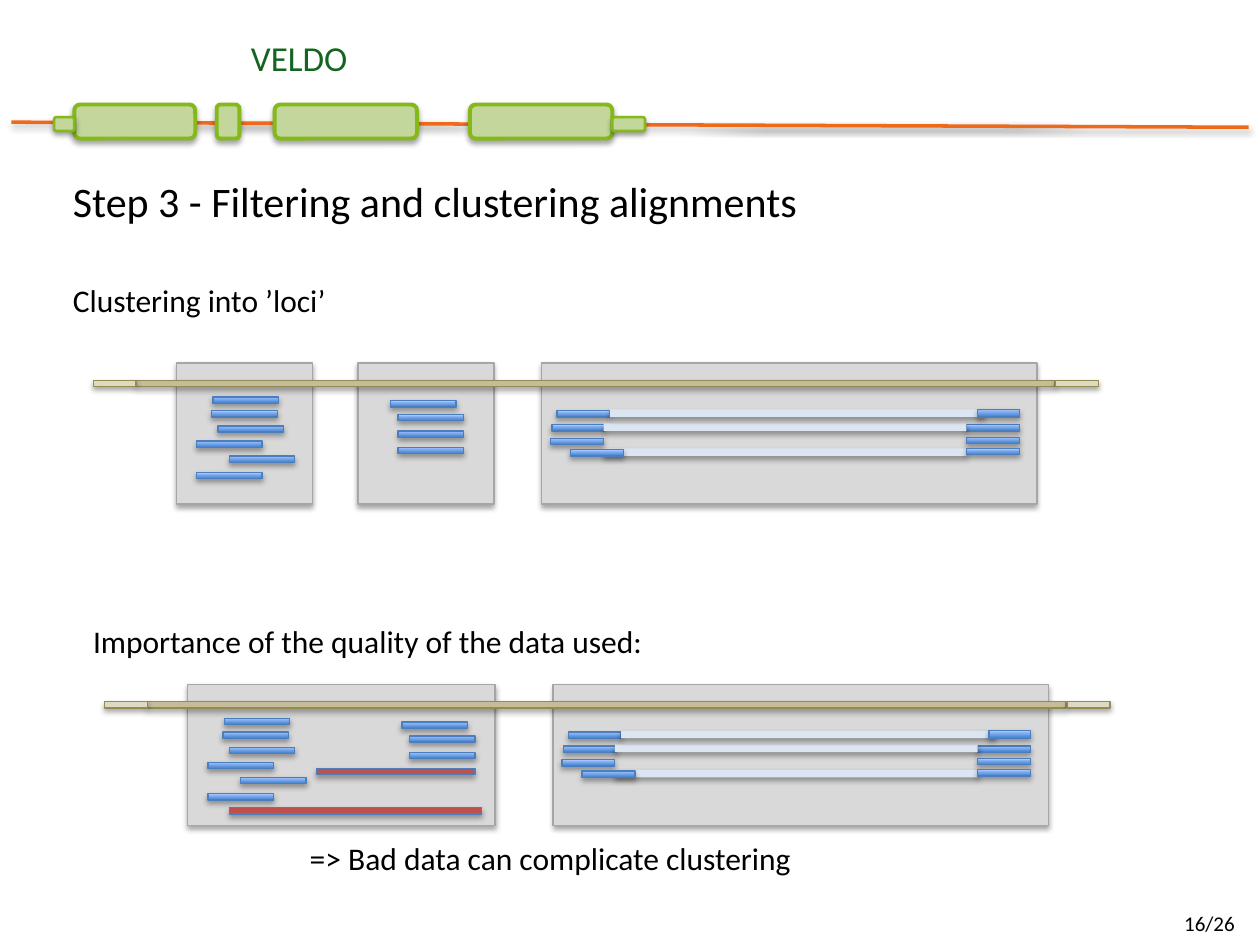
from typing import NamedTuple, Optional

from lxml.etree import SubElement
from pptx import Presentation
from pptx.dml.color import RGBColor
from pptx.enum.shapes import MSO_CONNECTOR as Line, MSO_SHAPE as Preset
from pptx.enum.text import MSO_ANCHOR as Anchor, PP_ALIGN as Align
from pptx.oxml.ns import qn
from pptx.util import Inches, Pt

COLORS = {
    "intergenic": "F0681A", "exon": "C3D69B", "exon_edge": "84B919",
    "locus": "D9D9D9", "locus_edge": "A6A6A6", "intron": "DCE6F2",
    "match_low": "3F80CE", "match_high": "A4C4FF", "match_edge": "4B7EBC",
    "genome": "C4BD97", "genome_end": "DDD9C3", "genome_edge": "948A54",
    "bad": "C0504D", "heading": "136520", "text": "000000",
}


class Style(NamedTuple):
    fill: str
    edge: Optional[str] = None
    edge_width: float = 0.75
    preset: Preset = Preset.RECTANGLE
    fill_end: Optional[str] = None


class Bar(NamedTuple):
    left: float
    top: float
    width: float
    height: float
    style: Style


class Label(NamedTuple):
    text: str
    left: float
    top: float
    width: float
    height: float
    size: int
    wrap: bool = False


EXON = Style("exon", "exon_edge", 2.25, Preset.ROUNDED_RECTANGLE)
UTR = EXON._replace(edge_width=1.5)
LOCUS = Style("locus", "locus_edge")
INTRON = Style("intron")
MATCH = Style("match_low", "match_edge", fill_end="match_high")
BAD = Style("bad", "match_edge")
GENOME = Style("genome", "genome_edge")
GENOME_END = Style("genome_end", "genome_edge")

GENE = [Bar(left, 0.83, width, 0.27, EXON)
        for left, width in ((0.59, 0.96), (1.72, 0.18), (2.18, 1.13), (3.73, 1.13))]
GENE += [Bar(left, 0.93, width, 0.11, UTR) for left, width in ((4.86, 0.26), (0.43, 0.16))]

FIRST_LOCUS = [(1.69, 3.15), (1.68, 3.26), (1.73, 3.38), (1.56, 3.5), (1.82, 3.62), (1.56, 3.75)]
SECOND_LOCUS = [(3.1, 3.18), (3.16, 3.29), (3.16, 3.42)]
SPLICED = [(4.42, 3.26), (4.38, 3.37), (4.37, 3.48),
           (7.67, 3.37), (7.67, 3.47), (7.67, 3.56), (4.53, 3.57)]
EXTRA_MATCH = (3.16, 3.55)
SEPARATE_LOCI = [(4.3, 3.93), (2.84, 1.08), (1.4, 1.08)]
MERGED_LOCI = [(4.3, 3.93), (1.4, 2.44)]
BAD_MATCHES = [Bar(2.51, 6.1, 1.26, 0.05, BAD), Bar(1.82, 6.41, 2, 0.05, BAD)]

LABELS = [
    Label("16/26", 9.3, 7.18, 0.7, 0.32, 12, True),
    Label("Clustering into ’loci’", 0.48, 2.18, 2.24, 0.4, 18),
    Label("Step 3 - Filtering and clustering alignments", 0.48, 1.34, 6.02, 0.5, 24),
    Label("=> Bad data can complicate clustering", 2.36, 6.61, 4.08, 0.4, 18),
    Label("Importance of the quality of the data used:", 0.64, 4.89, 4.61, 0.4, 18),
]


def rgb(name: str) -> RGBColor:
    """Look up a named colour."""
    return RGBColor.from_string(COLORS[name])


def cast_shadow(effects, distance: float, opacity: int) -> None:
    """Add a soft downward shadow to an effect list."""
    shadow = SubElement(effects, qn("a:outerShdw"), blurRad=str(Pt(3.1)),
                        dist=str(Pt(distance)), dir="5400000", rotWithShape="0")
    color = SubElement(shadow, qn("a:srgbClr"), val="000000")
    SubElement(color, qn("a:alpha"), val=str(opacity * 1000))


def draw_bar(slide, bar: Bar, dx: float = 0, dy: float = 0) -> None:
    """Draw one bar, moved by the given offset."""
    style = bar.style
    shape = slide.shapes.add_shape(style.preset, Inches(bar.left + dx), Inches(bar.top + dy),
                                   Inches(bar.width), Inches(bar.height))
    if style.fill_end:
        shape.fill.gradient()
        shape.fill.gradient_angle = 90
        for stop, name in zip(shape.fill.gradient_stops, (style.fill, style.fill_end)):
            stop.color.rgb = rgb(name)
    else:
        shape.fill.solid()
        shape.fill.fore_color.rgb = rgb(style.fill)
    if style.edge:
        shape.line.color.rgb = rgb(style.edge)
        shape.line.width = Pt(style.edge_width)
    else:
        shape.line.fill.background()
    shape.shadow.inherit = False
    cast_shadow(shape._element.spPr.find(qn("a:effectLst")), 1.8, 35)


def draw_intergenic_line(slide) -> None:
    """Draw the orange line behind the gene model."""
    line = slide.shapes.add_connector(Line.STRAIGHT, Inches(0.09), Inches(0.97),
                                      Inches(9.91), Inches(1.01))
    line.line.color.rgb = rgb("intergenic")
    line.line.width = Pt(2)
    cast_shadow(SubElement(line._element.spPr, qn("a:effectLst")), 1.6, 38)


def draw_alignment(slide, loci: list, short_matches: list, dx: float = 0, dy: float = 0) -> None:
    """Draw a genome with its loci and clustered matches."""
    bars = [Bar(left, 2.88, width, 1.12, LOCUS) for left, width in loci]
    bars.append(Bar(4.79, 3.56, 2.88, 0.06, INTRON))
    bars += [Bar(left, top, 0.52, 0.05, MATCH) for left, top in short_matches]
    bars += [Bar(1.08, 3.02, 7.29, 0.05, GENOME),
             Bar(8.38, 3.02, 0.34, 0.05, GENOME_END),
             Bar(0.74, 3.02, 0.34, 0.05, GENOME_END)]
    bars += [Bar(left, top, 0.42, 0.05, MATCH) for left, top in SPLICED]
    bars += [Bar(4.79, 3.36, 2.88, 0.06, INTRON),
             Bar(4.84, 3.25, 2.97, 0.06, INTRON),
             Bar(7.76, 3.25, 0.33, 0.06, MATCH)]
    for bar in bars:
        draw_bar(slide, bar, dx, dy)


def format_text(frame, text: str, size: int, color: str) -> None:
    """Fill a text frame with one formatted paragraph."""
    frame.text = text
    font = frame.paragraphs[0].font
    font.name, font.size, font.color.rgb = "Calibri", Pt(size), rgb(color)


def draw_label(slide, label: Label) -> None:
    """Draw one text label."""
    box = slide.shapes.add_textbox(*map(Inches, label[1:5]))
    box.text_frame.word_wrap = label.wrap
    format_text(box.text_frame, label.text, label.size, "text")


def draw_title(slide) -> None:
    """Place and format the slide title."""
    title = slide.shapes.title
    title.left, title.top, title.width, title.height = map(Inches, (0.5, 0.24, 3.75, 0.48))
    format_text(title.text_frame, "VELDO", 20, "heading")
    title.text_frame.vertical_anchor = Anchor.TOP
    title.text_frame.paragraphs[0].alignment = Align.CENTER


def main() -> None:
    """Build and save the slide."""
    deck = Presentation()
    deck.slide_width, deck.slide_height = Inches(10), Inches(7.5)
    slide = deck.slides.add_slide(deck.slide_layouts[5])
    draw_title(slide)
    draw_intergenic_line(slide)
    for bar in GENE:
        draw_bar(slide, bar)
    short_matches = FIRST_LOCUS + SECOND_LOCUS
    draw_alignment(slide, SEPARATE_LOCI, short_matches + [EXTRA_MATCH])
    draw_alignment(slide, MERGED_LOCI, short_matches, 0.09, 2.55)
    for bar in BAD_MATCHES:
        draw_bar(slide, bar)
    for label in LABELS:
        draw_label(slide, label)
    deck.save("out.pptx")


if __name__ == "__main__":
    main()
